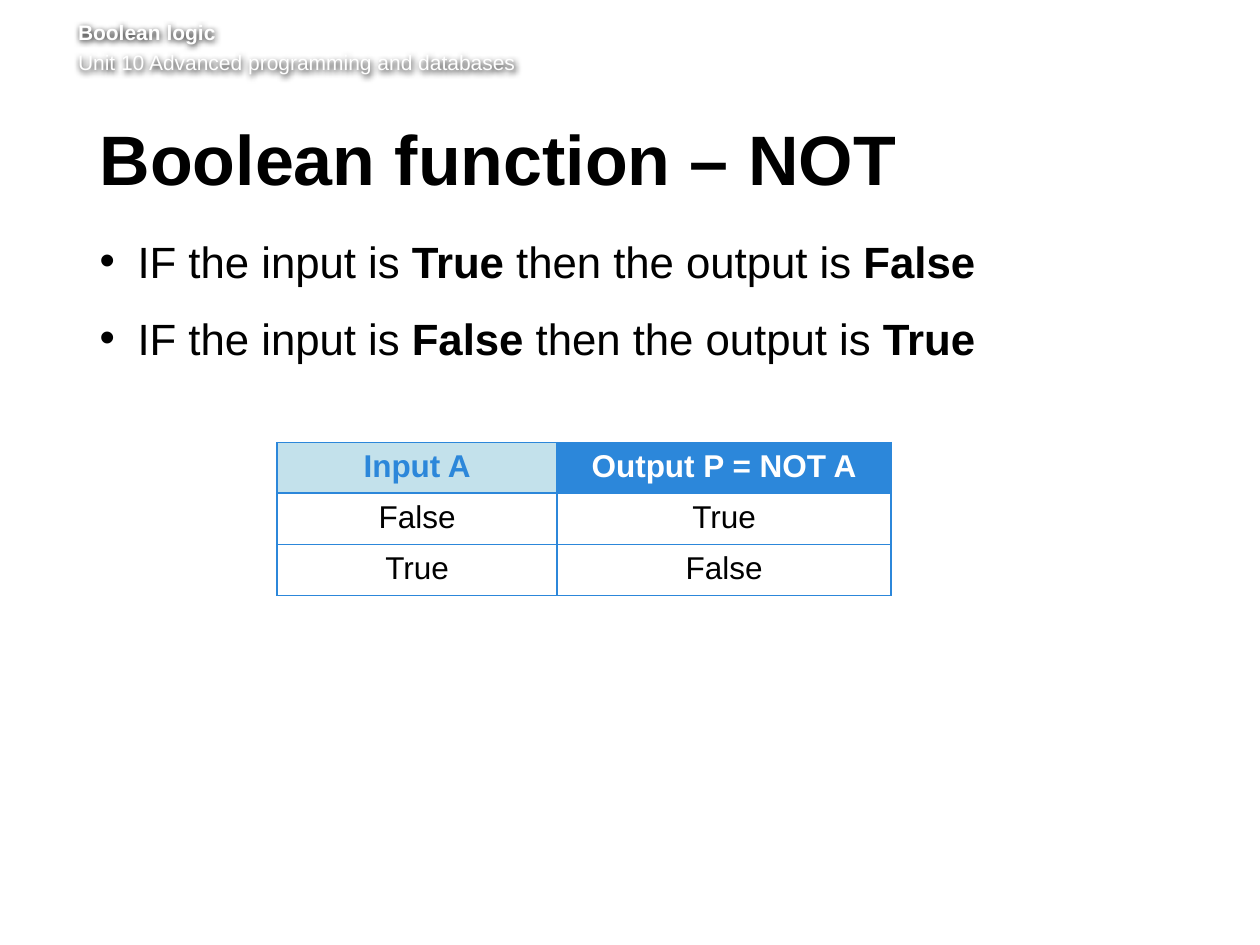
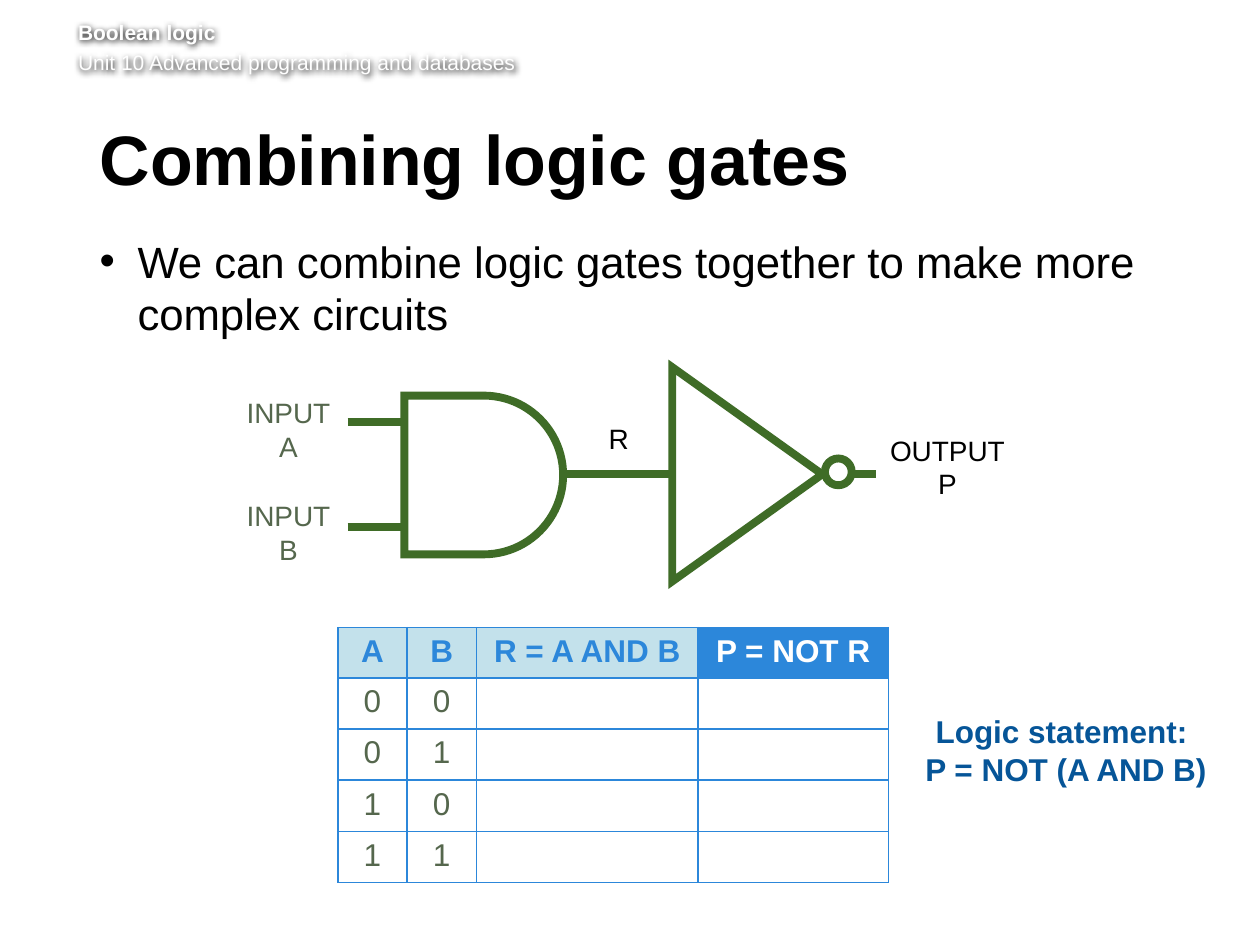
from lxml import etree
from pptx import Presentation
from pptx.dml.color import RGBColor
from pptx.enum.shapes import MSO_CONNECTOR, MSO_SHAPE
from pptx.enum.text import MSO_ANCHOR, PP_ALIGN
from pptx.oxml import parse_xml
from pptx.oxml.ns import qn
from pptx.util import Pt

COLORS = {"ink": "000000", "white": "FFFFFF", "blue": "2C87DA", "pale": "C3E1EB",
          "navy": "065598", "moss": "55674D", "gate": "3F6C27"}
FONT = "Arial"
GATE_LINE = 4.5
NS = 'xmlns:a="http://schemas.openxmlformats.org/drawingml/2006/main"'
TEXT_SHADOW = (f'<a:effectLst {NS}><a:outerShdw blurRad="50800" dist="12700" dir="5400000">'
               '<a:srgbClr val="000000"/></a:outerShdw></a:effectLst>')


def rgb(name):
    return RGBColor.from_string(COLORS[name])


class Deck:
    def __init__(self):
        self.prs = Presentation()
        self.prs.slide_width, self.prs.slide_height = Pt(720), Pt(540)
        self.s = None

    def new_slide(self, title):
        self.s = self.prs.slides.add_slide(self.prs.slide_layouts[6])
        self.header()
        tf = self.box(57, 71.3, 615.5, 52.5, (0, 3.6, 7.2, 3.6))
        p = tf.paragraphs[0]
        p.line_spacing, p.space_after = Pt(39), Pt(15)
        self.run(p, title, 40, bold=True)

    def box(self, x, y, w, h, insets, wrap=True):
        tf = self.s.shapes.add_textbox(Pt(x), Pt(y), Pt(w), Pt(h)).text_frame
        tf.word_wrap = wrap
        tf.margin_left, tf.margin_top, tf.margin_right, tf.margin_bottom = map(Pt, insets)
        return tf

    def run(self, p, text, size, color="ink", bold=False):
        r = p.add_run()
        r.text = text
        r.font.name, r.font.size, r.font.bold = FONT, Pt(size), bold
        r.font.color.rgb = rgb(color)

    def paragraph(self, tf, index):
        return tf.add_paragraph() if index else tf.paragraphs[0]

    def header(self):
        sp = self.s.shapes.add_textbox(Pt(44.6), Pt(11), Pt(635), Pt(35.3))
        sp._element.spPr.append(parse_xml(TEXT_SHADOW))
        tf = sp.text_frame
        tf.word_wrap = True
        tf.margin_left = tf.margin_top = tf.margin_right = 0
        self.run(tf.paragraphs[0], "Boolean logic", 12, "white", True)
        p = tf.add_paragraph()
        p.space_before = Pt(2.9)
        self.run(p, "Unit 10 Advanced programming and databases", 12, "white")

    def bullets(self, h, items):
        """Each item is a list of runs, regular and bold in turn."""
        tf = self.box(57, 133.9, 615, h, (0, 0, 7.2, 3.6))
        for i, item in enumerate(items):
            p = self.paragraph(tf, i)
            pPr = p._p.get_or_add_pPr()
            pPr.set("marL", str(Pt(21.6)))
            pPr.set("indent", str(-Pt(21.6)))
            etree.SubElement(pPr, qn("a:buFont")).set("typeface", FONT)
            etree.SubElement(pPr, qn("a:buChar")).set("char", "•")
            p.line_spacing, p.space_after = Pt(30), Pt(14)
            for j, text in enumerate(item):
                self.run(p, text, 25, bold=j % 2 == 1)

    def label(self, x, y, w, h, lines, color="ink", size=16, bold=False, middle=False):
        tf = self.box(x, y, w, h, (0, 3.6, 0, 3.6), wrap=False)
        tf.vertical_anchor = MSO_ANCHOR.MIDDLE if middle else MSO_ANCHOR.TOP
        for i, line in enumerate(lines):
            p = self.paragraph(tf, i)
            p.alignment = PP_ALIGN.CENTER
            self.run(p, line, size, color, bold)

    def wire(self, x1, x2, y):
        c = self.s.shapes.add_connector(MSO_CONNECTOR.STRAIGHT, Pt(x1), Pt(y), Pt(x2), Pt(y))
        c.line.color.rgb, c.line.width = rgb("gate"), Pt(GATE_LINE)
        etree.SubElement(c._element.spPr, qn("a:effectLst"))

    def gate_part(self, kind, x, y, w, h, rotation=0):
        sp = self.s.shapes.add_shape(kind, Pt(x), Pt(y), Pt(w), Pt(h))
        sp.shadow.inherit = False
        sp.rotation = rotation
        sp.fill.solid()
        sp.fill.fore_color.rgb = rgb("white")
        sp.line.color.rgb, sp.line.width = rgb("gate"), Pt(GATE_LINE)
        ln = sp._element.spPr.find(qn("a:ln"))
        etree.SubElement(ln, qn("a:miter")).set("lim", "800000")

    def truth_table(self, x, y, widths, rows, color="ink"):
        """The first row is the header; its last cell names the output."""
        heights = [28] + [29.2] * (len(rows) - 1)
        table = self.s.shapes.add_table(len(rows), len(widths), Pt(x), Pt(y),
                                        Pt(sum(widths)), Pt(sum(heights))).table
        table.first_row = table.horz_banding = False
        for col, w in zip(table.columns, widths):
            col.width = Pt(w)
        for i, (row, h) in enumerate(zip(rows, heights)):
            table.rows[i].height = Pt(h)
            for j, text in enumerate(row):
                cell = table.cell(i, j)
                self.borders(cell)
                output = j == len(row) - 1
                if i:
                    cell.fill.background()
                    ink = color
                else:
                    cell.fill.solid()
                    cell.fill.fore_color.rgb = rgb("blue" if output else "pale")
                    ink = "white" if output else "blue"
                if text:
                    p = cell.text_frame.paragraphs[0]
                    p.alignment = PP_ALIGN.CENTER
                    self.run(p, text, 18, ink, bold=i == 0)

    def borders(self, cell):
        tcPr = cell._tc.get_or_add_tcPr()
        for side in "LRTB":
            tcPr.append(parse_xml(
                f'<a:ln{side} {NS} w="{Pt(1)}"><a:solidFill>'
                f'<a:srgbClr val="{COLORS["blue"]}"/></a:solidFill></a:ln{side}>'))


def not_slide(deck):
    deck.new_slide("Boolean function – NOT")
    deck.bullets(132.5, [
        ["IF the input is ", "True ", "then the output is ", "False"],
        ["IF the input is ", "False ", "then the output is ", "True"]])
    deck.truth_table(158.4, 253, [160, 190.8], [
        ["Input A", "Output P = NOT A"], ["False", "True"], ["True", "False"]])


def gates_slide(deck):
    deck.new_slide("Combining logic gates")
    deck.bullets(75.6, [["We can combine logic gates together to make more complex circuits"]])
    for name, label_y, wire_y in (("A", 219.6, 241), ("B", 278.6, 301)):
        deck.label(134.6, label_y, 60.5, 51.1, ["INPUT", name], "moss", middle=True)
        deck.wire(198.7, 229, wire_y)
    deck.label(340.6, 237.6, 25.9, 26.6, ["R"])
    deck.wire(321.8, 352, 270.7)
    deck.gate_part(MSO_SHAPE.FLOWCHART_DELAY, 231.1, 226.1, 90.7, 90.7)
    deck.wire(347.8, 500.4, 270.9)
    deck.gate_part(MSO_SHAPE.ISOSCELES_TRIANGLE, 365.8, 228.2, 122.4, 85.7, rotation=90)
    deck.gate_part(MSO_SHAPE.OVAL, 471.4, 262, 15.3, 15.3)
    deck.label(501.1, 244.1, 80.6, 46.1, ["OUTPUT", "P"])
    deck.label(520.6, 403.2, 177.1, 51.1, ["Logic statement: ", "P = NOT (A AND B)"],
               "navy", 18, bold=True)
    inputs = [[a, b, "", ""] for a in "01" for b in "01"]
    deck.truth_table(193, 358.6, [39.6, 39.6, 126.7, 108.7],
                     [["A", "B", "R = A AND B", "P = NOT R"]] + inputs, "moss")


def main():
    deck = Deck()
    not_slide(deck)
    gates_slide(deck)
    deck.prs.save("out.pptx")


if __name__ == "__main__":
    main()
